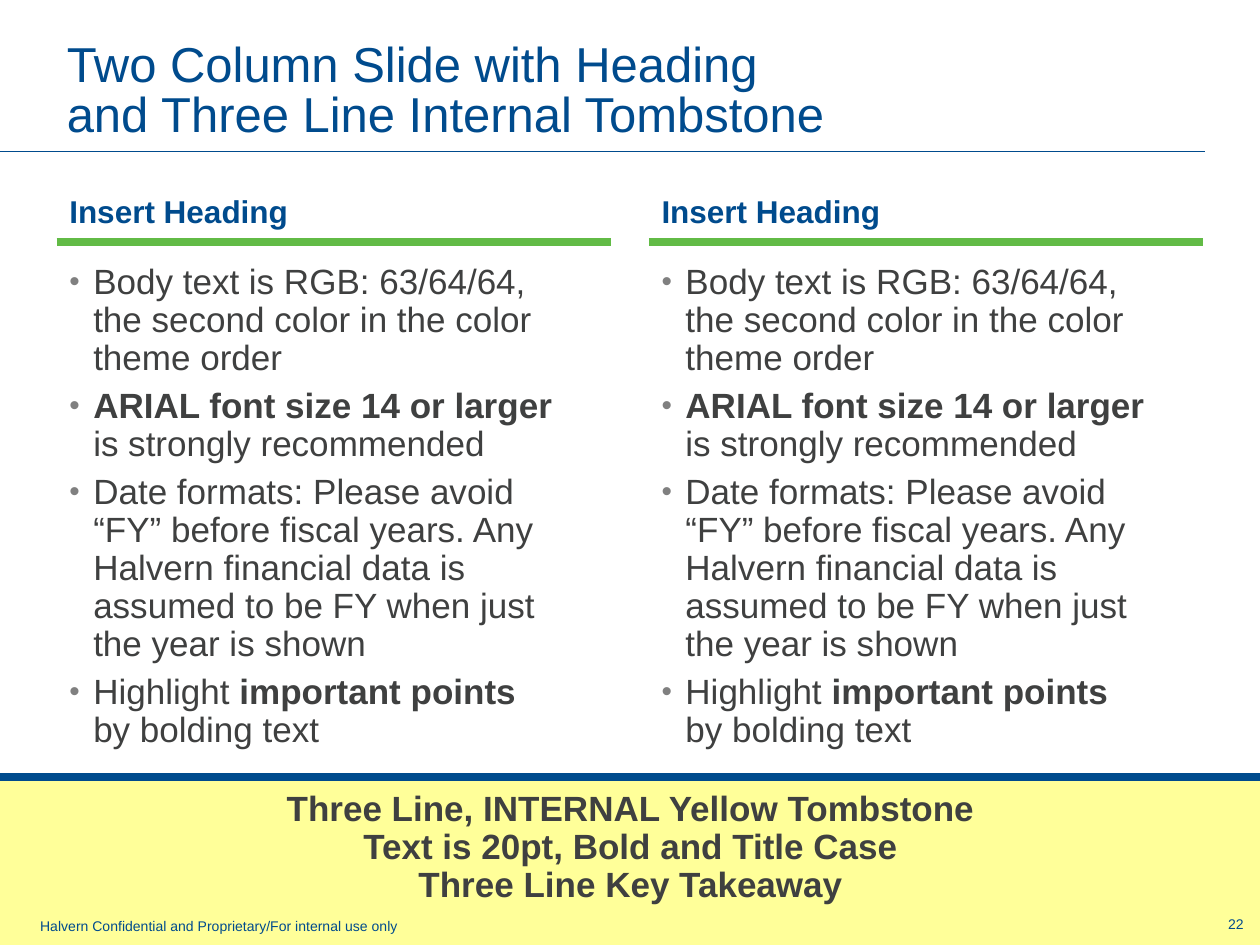
from lxml import etree
from pptx import Presentation
from pptx.dml.color import RGBColor
from pptx.enum import shapes, text
from pptx.oxml.ns import qn
from pptx.util import Inches, Pt

BLUE, GREEN, YELLOW, GRAY, BULLET = "004B8D", "62BB46", "FFFF99", "3F4040", "808080"
COLUMN_LEFTS, COLUMN_WIDTH = (0.45, 5.15), 4.4
# Each paragraph is a list of (text, bold) runs.
BODY = [
    [("Body text is RGB: 63/64/64,\nthe second color in the color theme order", False)],
    [("ARIAL font size 14 or larger\n", True), ("is strongly recommended", False)],
    [("Date formats: Please avoid\n“FY” before fiscal years. Any Halvern financial data is "
      "assumed to be FY when just\nthe year is shown", False)],
    [("Highlight ", False), ("important points\n", True), ("by bolding text", False)],
]
TOMBSTONE = ["Three Line, INTERNAL Yellow Tombstone",
             "Text is 20pt, Bold and Title Case",
             "Three Line Key Takeaway"]


def color(hex_code):
    return RGBColor.from_string(hex_code)


def add_runs(paragraph, content, bold, size, hex_code):
    """Add text to a paragraph, with a line break at each newline."""
    for number, line in enumerate(content.split("\n")):
        if number:
            paragraph.add_line_break()
        if line:
            run = paragraph.add_run()
            run.text = line
            font = run.font
            font.name, font.size, font.bold = "Arial", Pt(size), bold
            font.color.rgb = color(hex_code)


def add_bullet(paragraph):
    props = paragraph._p.get_or_add_pPr()
    props.set("marL", str(Inches(0.19)))
    props.set("indent", str(-Inches(0.19)))
    bullet_color = etree.SubElement(props, qn("a:buClr"))
    etree.SubElement(bullet_color, qn("a:srgbClr"), val=BULLET)
    etree.SubElement(props, qn("a:buSzPct"), val="85000")
    etree.SubElement(props, qn("a:buFont"), typeface="Arial")
    etree.SubElement(props, qn("a:buChar"), char="•")


def write(holder, paragraphs, at, size, hex_code=BLUE, bold=False, align="LEFT",
          anchor="TOP", insets=(0.1, 0.05, 0.1, 0.05), leading=1.0, gap=0, bullets=False):
    """Place a text holder and fill it with strings or lists of (text, bold) runs."""
    holder.left, holder.top, holder.width, holder.height = map(Inches, at)
    frame = holder.text_frame
    frame.word_wrap = True
    frame.auto_size = text.MSO_AUTO_SIZE.NONE
    frame.vertical_anchor = text.MSO_ANCHOR[anchor]
    (frame.margin_left, frame.margin_top,
     frame.margin_right, frame.margin_bottom) = map(Inches, insets)
    for number, content in enumerate(paragraphs):
        paragraph = frame.add_paragraph() if number else frame.paragraphs[0]
        paragraph.alignment = text.PP_ALIGN[align]
        paragraph.line_spacing = leading
        paragraph.space_before = paragraph.space_after = Pt(gap)
        if bullets:
            add_bullet(paragraph)
        runs = [(content, bold)] if isinstance(content, str) else content
        for words, is_bold in runs:
            add_runs(paragraph, words, is_bold, size, hex_code)


def add_text(slide, paragraphs, at, size, **style):
    write(slide.shapes.add_textbox(*map(Inches, at)), paragraphs, at, size, **style)


def add_rule(slide, left, right, y, hex_code, weight):
    rule = slide.shapes.add_connector(
        shapes.MSO_CONNECTOR.STRAIGHT, Inches(left), Inches(y), Inches(right), Inches(y))
    rule.line.color.rgb = color(hex_code)
    rule.line.width = Pt(weight)
    etree.SubElement(rule._element.spPr, qn("a:effectLst"))


def add_band(slide, at, hex_code):
    band = slide.shapes.add_shape(shapes.MSO_SHAPE.RECTANGLE, *map(Inches, at))
    band.shadow.inherit = False
    band.fill.solid()
    band.fill.fore_color.rgb = color(hex_code)
    band.line.fill.background()


def add_column(slide, left, heading, body):
    write(heading, ["Insert Heading"], (left, 1.33, COLUMN_WIDTH, 0.5), 18, bold=True,
          anchor="BOTTOM", insets=(0.1, 0.1, 0.1, 0), leading=0.9, gap=3)
    write(body, BODY, (left, 2, COLUMN_WIDTH, 4), 20, hex_code=GRAY,
          insets=(0.1, 0.1, 0.1, 0.05), leading=0.9, gap=3, bullets=True)
    add_rule(slide, left, left + COLUMN_WIDTH, 1.92, GREEN, 4.5)


def main():
    deck = Presentation()
    deck.slide_width, deck.slide_height = Inches(10), Inches(7.5)
    comparison_layout = deck.slide_layouts[4]
    slide = deck.slides.add_slide(comparison_layout)

    write(slide.shapes.title, ["Two Column Slide with Heading\nand Three Line Internal Tombstone"],
          (0.43, 0.14, 9.14, 1.04), 28, anchor="BOTTOM", leading=0.85)
    add_rule(slide, 0, 9.56, 1.2, BLUE, 0.75)

    parts = slide.placeholders
    for left, heading, body in zip(COLUMN_LEFTS, (parts[1], parts[3]), (parts[2], parts[4])):
        add_column(slide, left, heading, body)

    add_band(slide, (0, 6.17, 10, 1.33), YELLOW)
    add_rule(slide, 0, 10, 6.17, BLUE, 4.5)
    add_text(slide, TOMBSTONE, (0.12, 6.28, 9.77, 0.95), 20, hex_code=GRAY, bold=True,
             align="CENTER", insets=(0.1, 0, 0.1, 0.05), leading=0.9)
    add_text(slide, ["Halvern Confidential and Proprietary/For internal use only"],
             (0.22, 7.23, 9.12, 0.27), 8)
    add_text(slide, ["22"], (9.38, 7.23, 0.59, 0.21), 8, align="RIGHT", anchor="MIDDLE")
    deck.save("out.pptx")


if __name__ == "__main__":
    main()
